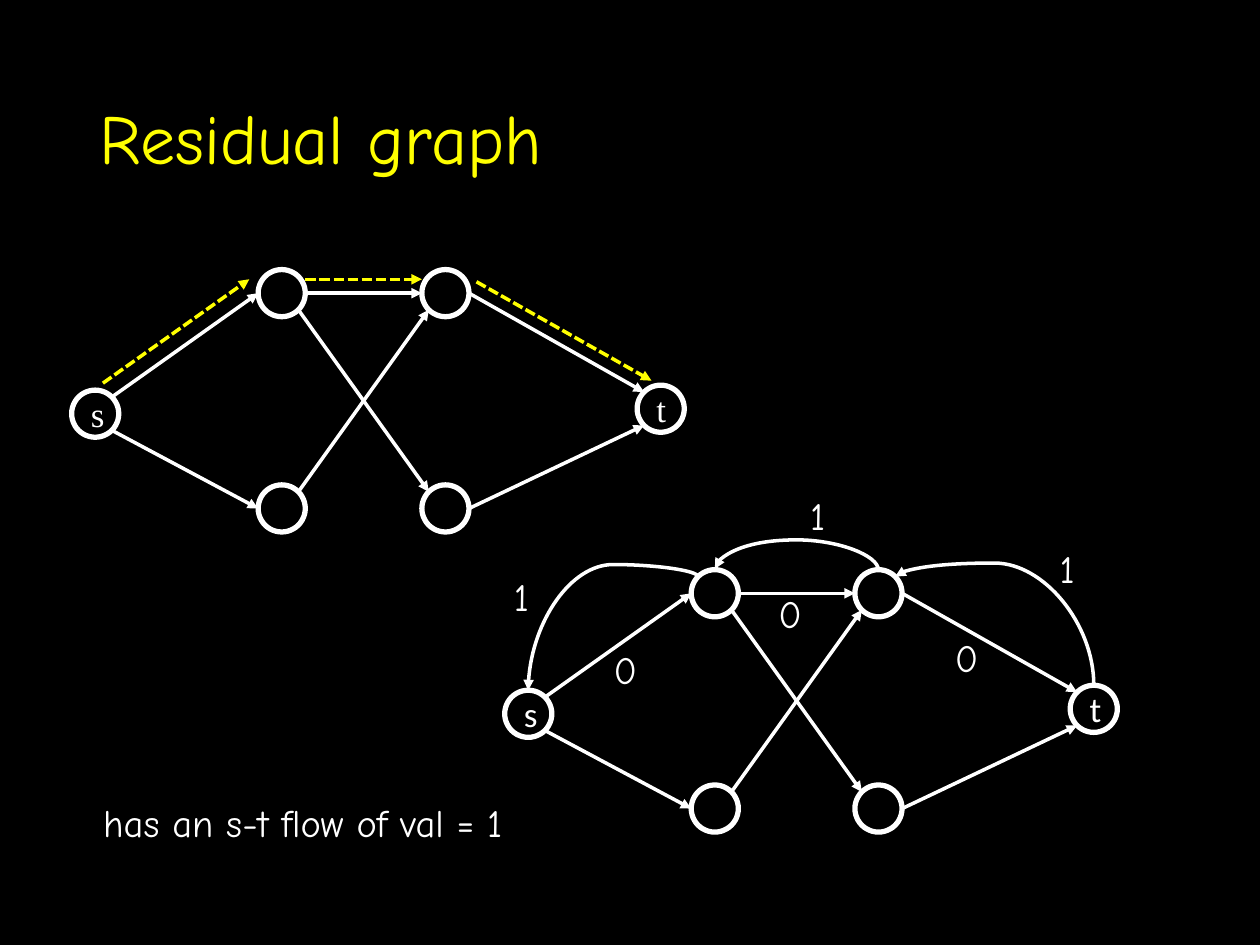
from math import cos, radians, sin

from lxml.etree import SubElement
from pptx import Presentation
from pptx.dml.color import RGBColor
from pptx.enum.dml import MSO_LINE
from pptx.enum.shapes import MSO_CONNECTOR, MSO_SHAPE
from pptx.enum.text import MSO_ANCHOR, PP_ALIGN
from pptx.oxml.ns import qn
from pptx.util import Cm, Pt

WHITE, YELLOW, BLACK = "FFFFFF", "FFFF00", "000000"
HAND = "Comic Neue"

# All lengths are in centimetres.
TITLE = ("Residual graph", (1.75, 1.02, 21.89, 3.68))
CAPTION = ("has an s-t flow of val = 1", (1.83, 15.98, 10.26, 1.19))
NODE_SIZE = 0.95
NODES = {  # centre of each node in the first graph
    "s": (1.92, 8.34), "t": (13.32, 8.24),
    "upper left": (5.68, 5.91), "upper right": (8.98, 5.91),
    "lower left": (5.68, 10.25), "lower right": (8.98, 10.25),
}
NODE_TEXTS = ("s", "t")
SITES = {  # angle on the node's rim, counter-clockwise from the right
    "E": 0, "NE": 45, "N": 90, "NW": 135, "W": 180, "SW": 225, "SE": 315,
}
EDGES = [
    (("s", "NE"), ("upper left", "W")),
    (("s", "SE"), ("lower left", "W")),
    (("upper left", "E"), ("upper right", "W")),
    (("lower left", "NE"), ("upper right", "SW")),
    (("upper right", "E"), ("t", "NW")),
    (("upper left", "SE"), ("lower right", "NW")),
    (("lower right", "E"), ("t", "SW")),
]
FLOW_PATH = [  # edge number, shift away from the edge
    (0, (-0.18, -0.28)), (2, (0, -0.28)), (4, (0.15, -0.23)),
]
GRAPHS = [  # offset, font of the node names
    ((0, 0), "Times New Roman"),
    ((8.73, 6.05), "Calibri"),
]
BACK_EDGES = [  # start, end, height of the bend
    (("t", "N"), ("upper right", "NE"), 11.35),
    (("upper right", "N"), ("upper left", "N"), 10.87),
    (("upper left", "NW"), ("s", "N"), 11.38),
]
CAPACITIES = [
    ("0", 12.12, 12.9), ("0", 15.44, 11.76), ("0", 19, 12.65),
    ("1", 10.11, 11.43), ("1", 16.08, 9.8), ("1", 21.11, 10.87),
]
CAPACITY_SIZE = (1.02, 1.19)


def colour(hex_value):
    return RGBColor.from_string(hex_value)


def write(frame, text, font, size, shade=WHITE, **paragraph_format):
    paragraph = frame.paragraphs[0]
    for key, value in paragraph_format.items():
        setattr(paragraph, key, value)
    run = paragraph.add_run()
    run.text = text
    for key, value in {"name": font, "size": Pt(size), "bold": False}.items():
        setattr(run.font, key, value)
    run.font.color.rgb = colour(shade)


def add_label(slide, text, box):
    frame = slide.shapes.add_textbox(*map(Cm, box)).text_frame
    frame.word_wrap = True
    write(frame, text, HAND, 22)


def add_node(slide, centre, text, font):
    corner = [value - NODE_SIZE / 2 for value in centre]
    node = slide.shapes.add_shape(
        MSO_SHAPE.OVAL, *map(Cm, (*corner, NODE_SIZE, NODE_SIZE)))
    node.shadow.inherit = False
    node.fill.background()
    node.line.color.rgb = colour(WHITE)
    node.line.width = Pt(3)
    if text:
        node.text_frame.vertical_anchor = MSO_ANCHOR.MIDDLE
        write(node.text_frame, text, font, 20, alignment=PP_ALIGN.CENTER)


def shifted(point, offset):
    return point[0] + offset[0], point[1] + offset[1]


def rim_point(end, offset):
    """Place of a connection site, given as (node, site)."""
    node, site = end
    angle, radius = radians(SITES[site]), NODE_SIZE / 2
    on_rim = shifted(NODES[node], (radius * cos(angle), -radius * sin(angle)))
    return shifted(on_rim, offset)


def add_arrow(slide, start, end, shade=WHITE, dash=None, kind=MSO_CONNECTOR.STRAIGHT):
    arrow = slide.shapes.add_connector(kind, *map(Cm, (*start, *end)))
    arrow.line.color.rgb = colour(shade)
    arrow.line.width = Pt(2)
    if dash:
        arrow.line.dash_style = dash
    SubElement(arrow.line._get_or_add_ln(), qn("a:tailEnd"), type="triangle")
    SubElement(arrow._element.spPr, qn("a:effectLst"))
    return arrow


def add_back_arrow(slide, start, end, bend):
    """Curve from right to left that rises to the height of the bend."""
    rise = start[1] - end[1]
    if abs(rise) < 0.03:
        rise = 0.03
    width, height = abs(rise), start[0] - end[0]
    arrow = add_arrow(slide, start, end, kind=MSO_CONNECTOR.CURVE)
    placing = {
        "left": Cm((start[0] + end[0] - width) / 2),
        "top": Cm((start[1] + end[1] - height) / 2),
        "width": Cm(width),
        "height": Cm(height),
    }
    for key, value in placing.items():
        setattr(arrow, key, value)
    frame = arrow._element.spPr.find(qn("a:xfrm"))
    turn = {"rot": str(270 * 60000), "flipH": str(int(rise < 0)), "flipV": "1"}
    for key, value in turn.items():
        frame.set(key, value)
    geometry = arrow._element.spPr.find(qn("a:prstGeom"))
    adjustments = geometry.find(qn("a:avLst"))
    if adjustments is None:
        adjustments = SubElement(geometry, qn("a:avLst"))
    ratio = round((start[1] - bend) / rise * 100000)
    SubElement(adjustments, qn("a:gd"), name="adj1", fmla=f"val {ratio}")


def main():
    deck = Presentation()
    deck.slide_width, deck.slide_height = Cm(25.4), Cm(19.05)
    slide = deck.slides.add_slide(deck.slide_layouts[5])
    slide.background.fill.solid()
    slide.background.fill.fore_color.rgb = colour(BLACK)

    heading, box = TITLE
    title = slide.shapes.title
    for key, value in zip(("left", "top", "width", "height"), box):
        setattr(title, key, Cm(value))
    title.text_frame.vertical_anchor = MSO_ANCHOR.MIDDLE
    write(title.text_frame, heading, HAND, 40, YELLOW,
          alignment=PP_ALIGN.LEFT, line_spacing=0.9)

    for offset, font in GRAPHS:
        for name, centre in NODES.items():
            text = name if name in NODE_TEXTS else ""
            add_node(slide, shifted(centre, offset), text, font)
        for start, end in EDGES:
            add_arrow(slide, rim_point(start, offset), rim_point(end, offset))

    for number, shift in FLOW_PATH:
        start, end = (rim_point(site, shift) for site in EDGES[number])
        add_arrow(slide, start, end, YELLOW, MSO_LINE.SQUARE_DOT)

    residual_offset = GRAPHS[1][0]
    for start, end, bend in BACK_EDGES:
        add_back_arrow(slide, rim_point(start, residual_offset),
                       rim_point(end, residual_offset), bend)

    for text, left, top in CAPACITIES:
        add_label(slide, text, (left, top, *CAPACITY_SIZE))
    add_label(slide, *CAPTION)
    deck.save("out.pptx")


if __name__ == "__main__":
    main()
